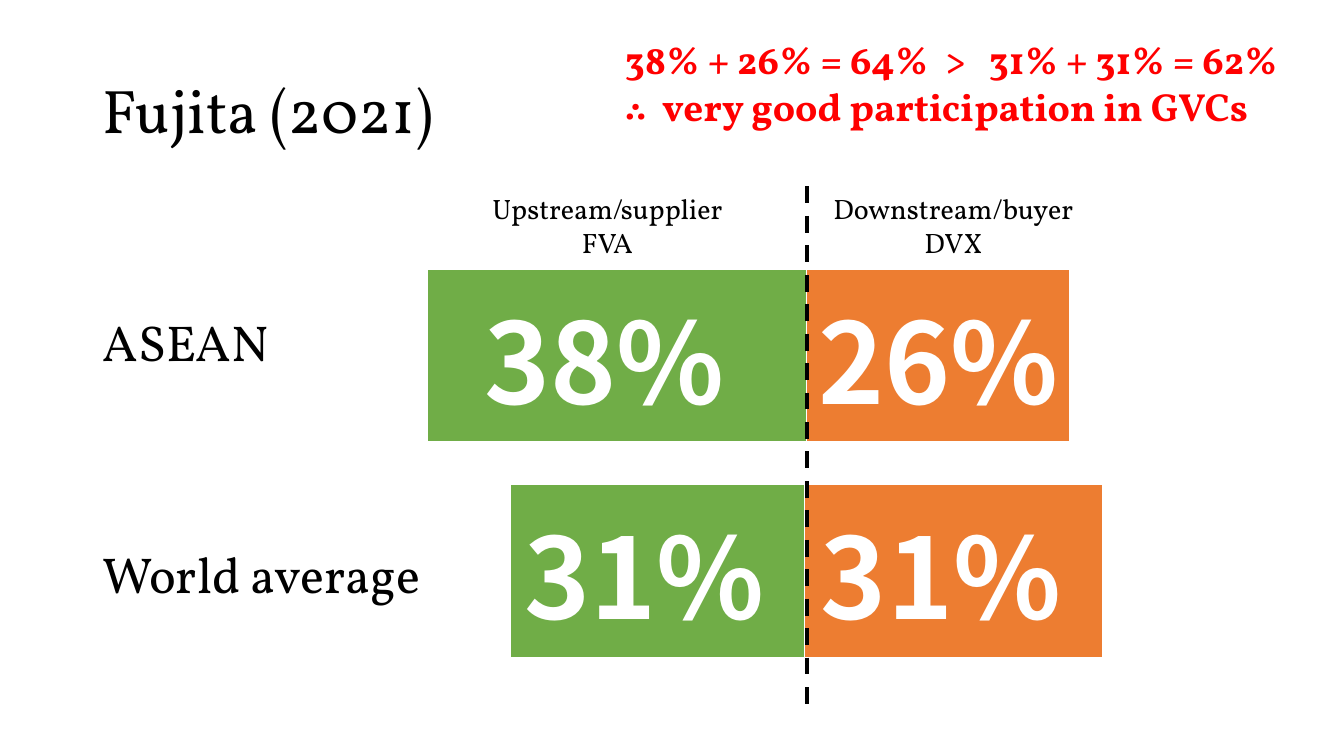
from lxml.etree import SubElement
from pptx import Presentation
from pptx.dml.color import RGBColor as RGB
from pptx.enum.dml import MSO_LINE
from pptx.enum.shapes import MSO_CONNECTOR as CONNECTOR
from pptx.enum.text import MSO_ANCHOR as ANCHOR, MSO_AUTO_SIZE as AUTO, PP_ALIGN as ALIGN
from pptx.oxml.ns import qn
from pptx.util import Pt

PX = 9144
COLORS = {"upstream": "70AD47", "downstream": "ED7D31", "white": "FFFFFF",
          "black": "000000", "red": "FF0000"}
TITLE = {"name": "Vollkorn", "size": Pt(44)}
ROW_LABEL = {"name": "Vollkorn", "size": Pt(36)}
HEADING = {"name": "Vollkorn", "size": Pt(20)}
FINDING = {"name": "Vollkorn", "size": Pt(28), "bold": True}
SHARE = {"name": "Noto Sans CJK SC", "size": Pt(80), "bold": True}
LABEL_LEFT = 92
BAR_HEIGHT = 171


def px(*lengths):
    return [length * PX for length in lengths]


def rgb(color):
    return RGB.from_string(COLORS[color])


def write(paragraph, wording, look, color="black", align=ALIGN.LEFT):
    paragraph.alignment = align
    run = paragraph.add_run()
    run.text = wording
    for name, value in look.items():
        setattr(run.font, name, value)
    run.font.color.rgb = rgb(color)


def set_tabs(paragraph, stops):
    tab_list = SubElement(paragraph._p.get_or_add_pPr(), qn("a:tabLst"))
    for stop in px(*stops):
        SubElement(tab_list, qn("a:tab"), pos=str(stop), algn="l")


def add_title(slide, wording):
    title = slide.shapes.title
    title.left, title.top, title.width, title.height = px(LABEL_LEFT, 40, 1150, 145)
    title.text_frame.vertical_anchor = ANCHOR.MIDDLE
    heading = title.text_frame.paragraphs[0]
    heading.line_spacing = 0.9
    write(heading, wording, TITLE)


def add_label(slide, place, lines, look, color="black", align=ALIGN.LEFT, tabs=()):
    frame = slide.shapes.add_textbox(*px(*place)).text_frame
    frame.word_wrap = True
    frame.auto_size = AUTO.SHAPE_TO_FIT_TEXT
    for index, wording in enumerate(lines):
        paragraph = frame.add_paragraph() if index else frame.paragraphs[0]
        write(paragraph, wording, look, color, align)
        if tabs:
            set_tabs(paragraph, tabs[index])


def add_share_bar(slide, left, top, shares):
    total = sum(width for _, width, _ in shares)
    bar = slide.shapes.add_table(1, len(shares), *px(left, top, total, BAR_HEIGHT)).table
    for index, (wording, width, color) in enumerate(shares):
        bar.columns[index].width = width * PX
        cell = bar.cell(0, index)
        cell.fill.solid()
        cell.fill.fore_color.rgb = rgb(color)
        cell.vertical_anchor = ANCHOR.MIDDLE
        write(cell.text_frame.paragraphs[0], wording, SHARE, "white", ALIGN.CENTER)


def add_divider(slide, x, top, bottom):
    divider = slide.shapes.add_connector(CONNECTOR.STRAIGHT, *px(x, top, x, bottom))
    divider.line.color.rgb = rgb("black")
    divider.line.width = Pt(3)
    divider.line.dash_style = MSO_LINE.DASH
    SubElement(divider._element.spPr, qn("a:effectLst"))


def main():
    deck = Presentation()
    deck.slide_width, deck.slide_height = px(1333, 750)
    slide = deck.slides.add_slide(deck.slide_layouts[5])

    add_title(slide, "Fujita (2021)")
    add_share_bar(slide, 506, 481, [("31% ", 292, "upstream"), ("31% ", 296, "downstream")])
    add_share_bar(slide, 424, 267, [("38% ", 376, "upstream"), ("26% ", 261, "downstream")])
    add_divider(slide, 800, 185, 710)

    for wording, top, width in [("ASEAN", 304, 201), ("World average", 534, 357)]:
        add_label(slide, (LABEL_LEFT, top, width, 71), [wording], ROW_LABEL)
    for left, lines in [(767, ["Downstream/buyer", "DVX"]), (424, ["Upstream/supplier", "FVA"])]:
        add_label(slide, (left, 185, 357, 77), lines, HEADING, align=ALIGN.CENTER)
    add_label(slide, (610, 30, 733, 104),
              ["38% + 26% = 64%\t>\t31% + 31% = 62%", "∴\tvery good participation in GVCs"],
              FINDING, "red", tabs=[(317, 361), (37,)])

    deck.save("out.pptx")


if __name__ == "__main__":
    main()
